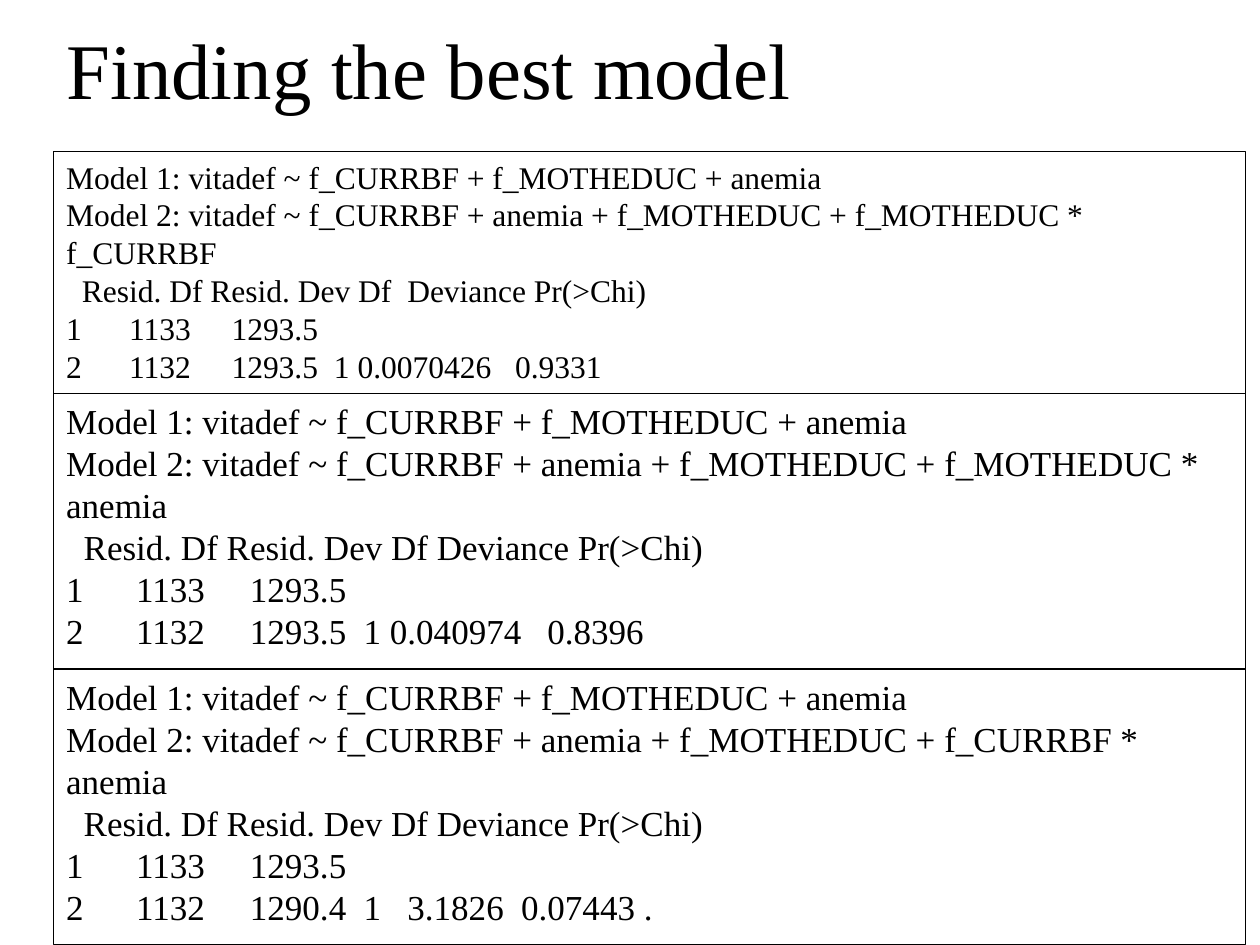
from dataclasses import dataclass

from lxml import etree
from pptx import Presentation
from pptx.dml.color import RGBColor
from pptx.enum.shapes import MSO_SHAPE
from pptx.enum.text import MSO_ANCHOR, MSO_AUTO_SIZE, PP_ALIGN
from pptx.oxml.ns import qn
from pptx.util import Pt

RECTANGLE = MSO_SHAPE.RECTANGLE
LEFT = PP_ALIGN.LEFT
TOP, MIDDLE = MSO_ANCHOR.TOP, MSO_ANCHOR.MIDDLE
NO_FIT, GROW = MSO_AUTO_SIZE.NONE, MSO_AUTO_SIZE.SHAPE_TO_FIT_TEXT
TITLE_ONLY = 5


@dataclass
class Theme:
    """Colours, font and sizes in points."""
    ink: RGBColor = RGBColor(0, 0, 0)
    font: str = "Times New Roman"
    title_size: float = 45
    small_size: float = 18
    body_size: float = 20
    line_width: float = 0.75


class SlideBuilder:
    """Adds styled elements to one slide."""

    def __init__(self, slide, theme):
        self.slide = slide
        self.theme = theme

    def style(self, paragraph, size):
        """Set the font and alignment of a paragraph."""
        paragraph.alignment = LEFT
        paragraph.font.size = Pt(size)
        paragraph.font.name = self.theme.font
        paragraph.font.color.rgb = self.theme.ink

    def title(self, text, left, top, width, height):
        """Place and format the title placeholder."""
        title = self.slide.shapes.title
        title.left, title.top = Pt(left), Pt(top)
        title.width, title.height = Pt(width), Pt(height)
        frame = title.text_frame
        frame.text = text
        frame.auto_size = NO_FIT
        frame.vertical_anchor = MIDDLE
        frame.paragraphs[0].line_spacing = 0.9
        self.style(frame.paragraphs[0], self.theme.title_size)

    def tab_stops(self, paragraph, positions):
        """Add left tab stops at the given points."""
        properties = paragraph._p.get_or_add_pPr()
        tab_list = etree.SubElement(properties, qn("a:tabLst"))
        for position in positions:
            etree.SubElement(tab_list, qn("a:tab"), pos=str(Pt(position)), algn="l")

    def output_box(self, lines, size, left, top, width, height):
        """Add an outlined box of lines, with tab stops in ems."""
        box = self.slide.shapes.add_shape(RECTANGLE, Pt(left), Pt(top), Pt(width), Pt(height))
        box.shadow.inherit = False
        box.fill.background()
        box.line.color.rgb = self.theme.ink
        box.line.width = Pt(self.theme.line_width)
        frame = box.text_frame
        frame.word_wrap = True
        frame.auto_size = GROW
        frame.vertical_anchor = TOP
        for index, (text, stops) in enumerate(lines):
            paragraph = frame.add_paragraph() if index else frame.paragraphs[0]
            paragraph.text = text
            if stops:
                self.tab_stops(paragraph, [stop * size for stop in stops])
            self.style(paragraph, size)


def comparison(interaction, header, result, result_stops):
    """Return the lines of one model comparison."""
    return [
        ("Model 1: vitadef ~ f_CURRBF + f_MOTHEDUC + anemia", ()),
        (f"Model 2: vitadef ~ f_CURRBF + anemia + f_MOTHEDUC + {interaction}", ()),
        (header, (0.5, 10.83)),
        ("1\t1133\t1293.5", (2, 5.25)),
        (result, (2, 5.25) + result_stops),
    ]


def main():
    """Build and save the slide."""
    theme = Theme()
    presentation = Presentation()
    presentation.slide_width, presentation.slide_height = Pt(720), Pt(540)
    slide = presentation.slides.add_slide(presentation.slide_layouts[TITLE_ONLY])
    builder = SlideBuilder(slide, theme)
    left = 30.75
    builder.title("Finding the best model", left, -2.2, 620.6, 88.6)

    header = "\tResid. Df Resid. Dev Df Deviance Pr(>Chi)"
    wide_header = "\tResid. Df Resid. Dev Df\tDeviance Pr(>Chi)"
    comparisons = [
        (comparison("f_MOTHEDUC * f_CURRBF", wide_header,
                    "2\t1132\t1293.5\t1 0.0070426\t0.9331", (8.5, 14.25)),
         theme.small_size, 138.2),
        (comparison("f_MOTHEDUC * anemia", header,
                    "2\t1132\t1293.5\t1 0.040974\t0.8396", (8.5, 13.75)),
         theme.body_size, 157.6),
        (comparison("f_CURRBF * anemia", header,
                    "2\t1132\t1290.4\t1\t3.1826\t0.07443 .", (8.5, 9.75, 13)),
         theme.body_size, 157.6),
    ]
    top = 86.5
    for lines, size, height in comparisons:
        builder.output_box(lines, size, left, top, 681, height)
        top += height
    presentation.save("out.pptx")


main()
